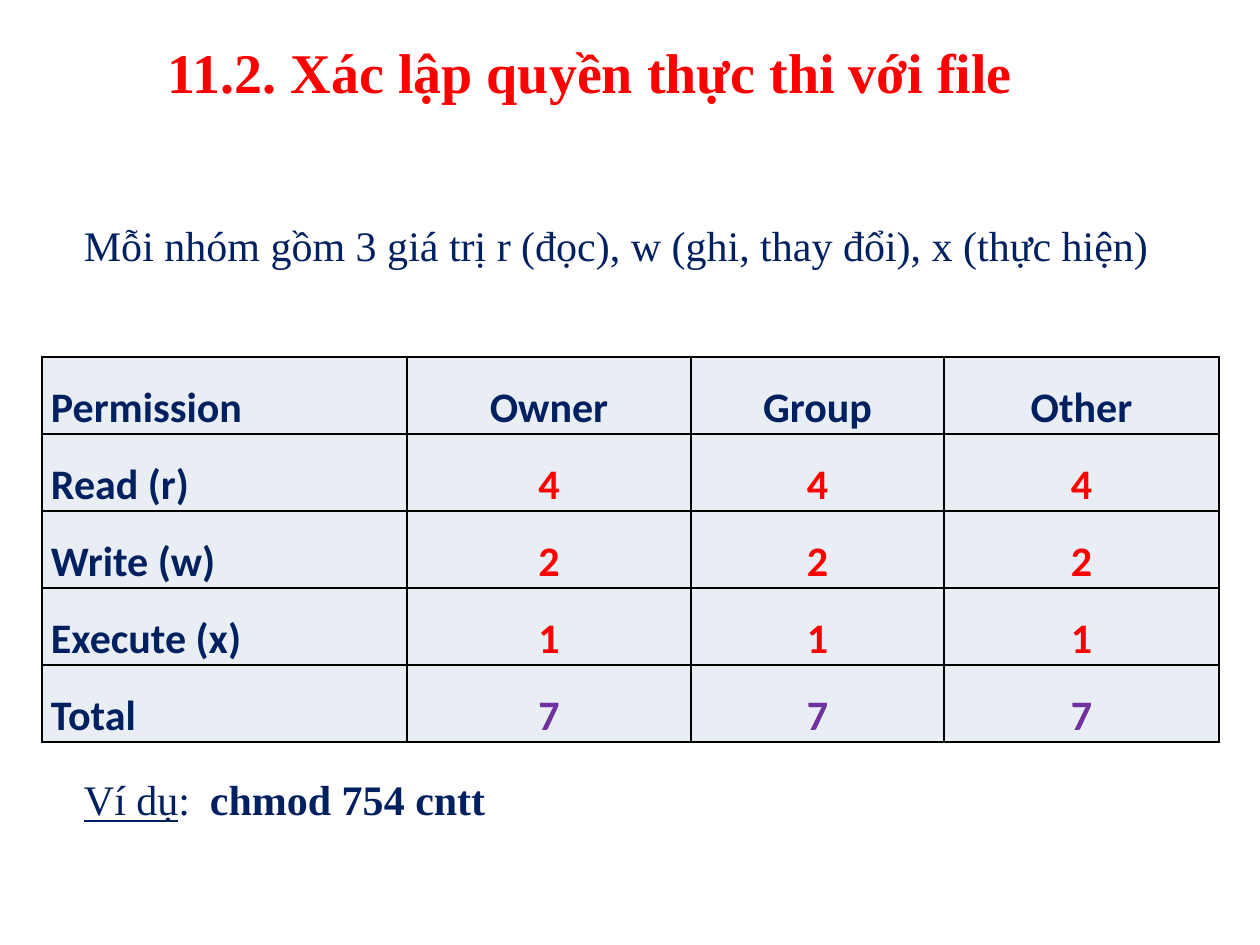
import pptx
import pptx.dml.color
import pptx.enum.text
import pptx.oxml.ns
import pptx.util
from lxml import etree

RGB = pptx.dml.color.RGBColor
RED = RGB(0xFF, 0x00, 0x00)
NAVY = RGB(0x00, 0x20, 0x60)
PURPLE = RGB(0x70, 0x30, 0xA0)
BLACK = RGB(0x00, 0x00, 0x00)
CELL_FILL = RGB(0xE9, 0xED, 0xF4)
SERIF, SANS = "Times New Roman", "Calibri"
ALIGN = pptx.enum.text.PP_ALIGN

# Box in px, size, colour, runs of (text, bold, underline)
TEXTS = [
    ((168, 37, 1211, 68), 32, RED,
     [("11.2. Xác lập quyền thực thi với file", True, False)]),
    ((84, 220, 1071, 48), 24, NAVY,
     [("Mỗi nhóm gồm 3 giá trị r (đọc), w (ghi, thay đổi), x (thực hiện)", False, False)]),
    ((84, 774, 1071, 48), 24, NAVY,
     [("Ví dụ", False, True), (":\t", False, False), ("chmod 754 cntt", True, False)]),
]

# Row label, values, colour of the values
ROWS = [
    ("Permission", ["Owner", "Group", "Other"], NAVY),
    ("Read (r)", ["4"] * 3, RED),
    ("Write (w)", ["2"] * 3, RED),
    ("Execute (x)", ["1"] * 3, RED),
    ("Total", ["7"] * 3, PURPLE),
]
TABLE_LEFT, TABLE_TOP, ROW_HEIGHT = 42, 357, 77
COLUMN_WIDTHS = [365, 284, 253, 275]
CELL_MARGIN = 9


def px(n):
    return pptx.util.Emu(round(n * 914400 / 126))


def add_run(p, text, font, size, color, bold=False, underline=False):
    r = p.add_run()
    r.text = text
    r.font.name = font
    r.font.size = pptx.util.Pt(size)
    r.font.color.rgb = color
    r.font.bold = bold
    r.font.underline = underline


def add_text(slide, box, size, color, runs):
    tf = slide.shapes.add_textbox(*map(px, box)).text_frame
    tf.word_wrap = True
    tf.margin_left = tf.margin_right = tf.margin_top = tf.margin_bottom = 0
    for text, bold, underline in runs:
        add_run(tf.paragraphs[0], text, SERIF, size, color, bold, underline)


def add_borders(cell):
    """Draw 1 pt lines on all sides; they must come before the fill."""
    tc_pr = cell._tc.get_or_add_tcPr()
    qn = pptx.oxml.ns.qn
    for side in ("lnL", "lnR", "lnT", "lnB"):
        ln = etree.SubElement(tc_pr, qn("a:" + side), w=str(pptx.util.Pt(1)))
        fill = etree.SubElement(ln, qn("a:solidFill"))
        etree.SubElement(fill, qn("a:srgbClr"), val=str(BLACK))


def fill_cell(cell, text, color, align):
    add_borders(cell)
    cell.fill.solid()
    cell.fill.fore_color.rgb = CELL_FILL
    cell.margin_left = cell.margin_right = px(CELL_MARGIN)
    cell.margin_top = cell.margin_bottom = 0
    p = cell.text_frame.paragraphs[0]
    p.alignment = align
    p.line_spacing = 1.5
    add_run(p, text, SANS, 24, color, bold=True)


def add_permissions(slide):
    table = slide.shapes.add_table(
        len(ROWS), len(COLUMN_WIDTHS), px(TABLE_LEFT), px(TABLE_TOP),
        px(sum(COLUMN_WIDTHS)), px(ROW_HEIGHT * len(ROWS))).table
    table.first_row = table.horz_banding = False
    for column, width in zip(table.columns, COLUMN_WIDTHS):
        column.width = px(width)
    for i, (label, values, color) in enumerate(ROWS):
        table.rows[i].height = px(ROW_HEIGHT)
        fill_cell(table.cell(i, 0), label, NAVY, ALIGN.JUSTIFY)
        for j, value in enumerate(values, 1):
            fill_cell(table.cell(i, j), value, color, ALIGN.CENTER)


def main():
    prs = pptx.Presentation()
    prs.slide_width, prs.slide_height = px(1260), px(945)
    slide = prs.slides.add_slide(prs.slide_layouts[6])
    for text in TEXTS:
        add_text(slide, *text)
    add_permissions(slide)
    prs.save("out.pptx")


if __name__ == "__main__":
    main()
